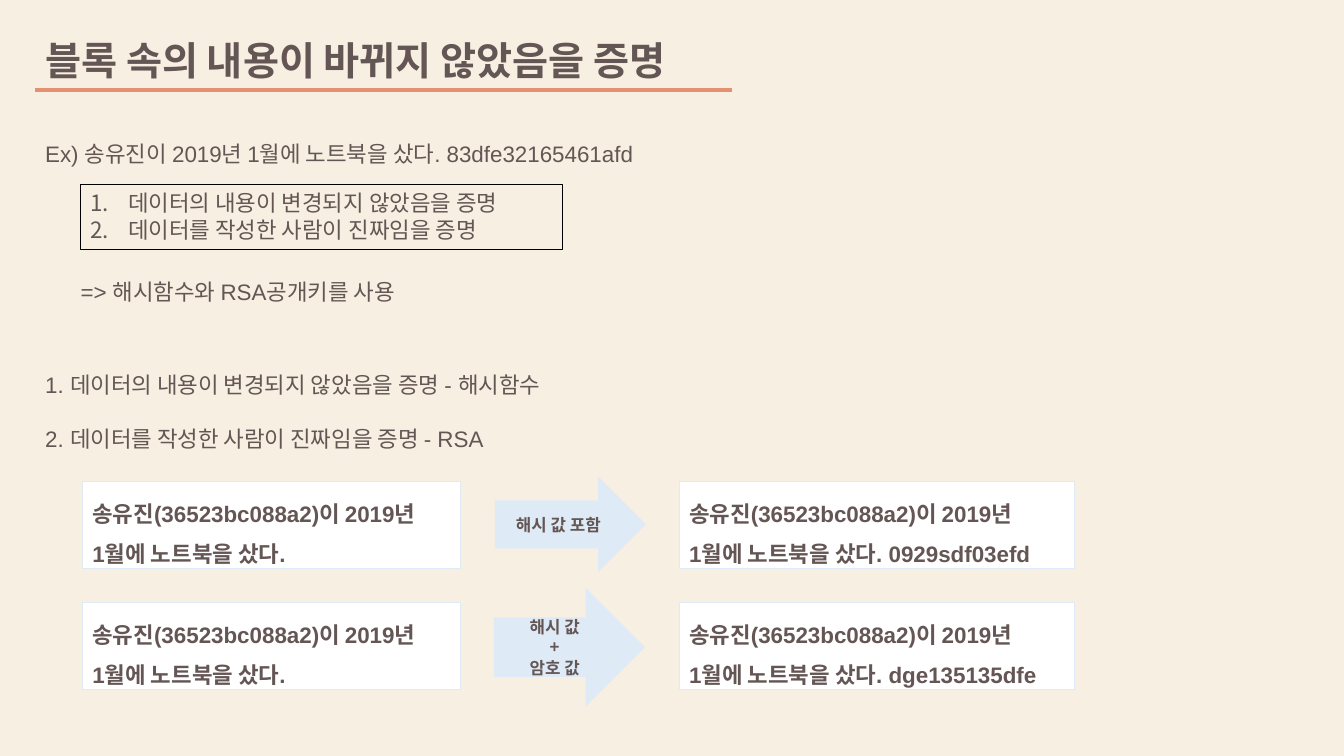
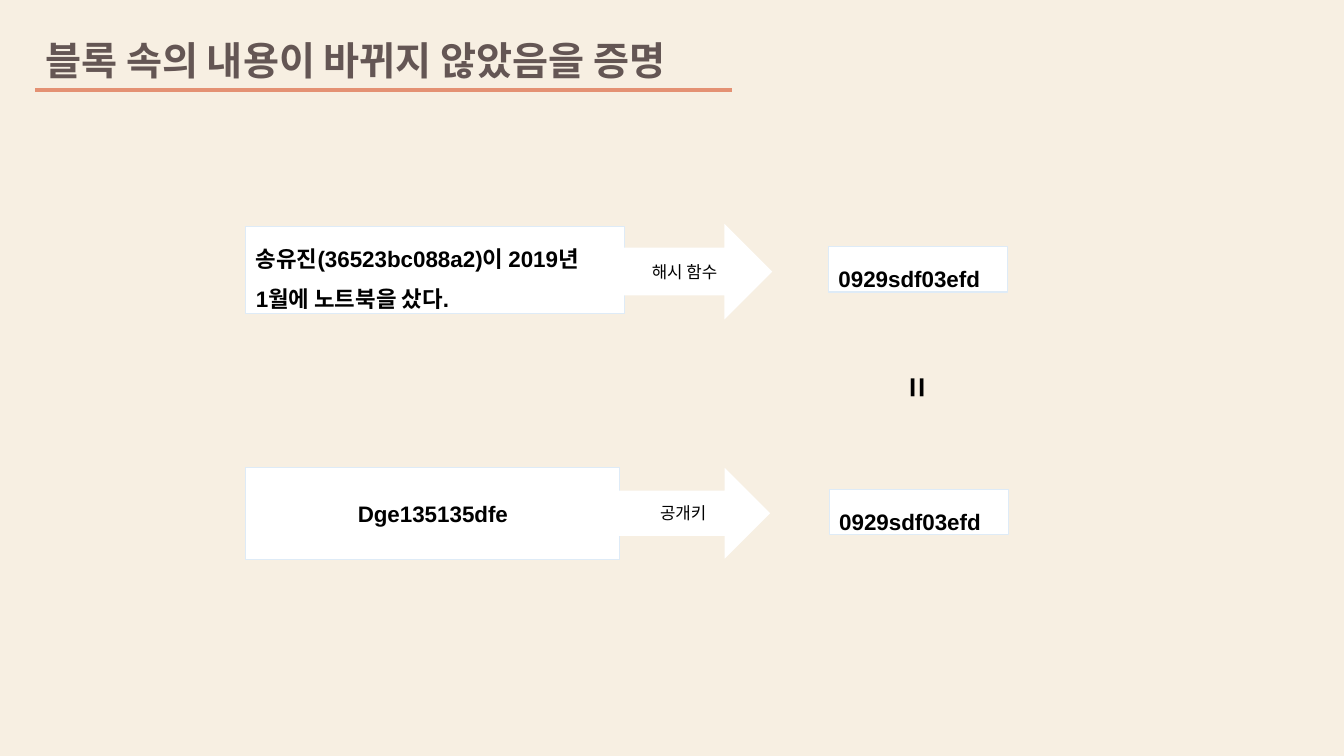
from lxml.etree import SubElement
from pptx import Presentation
from pptx.dml.color import RGBColor
from pptx.enum.shapes import MSO_CONNECTOR, MSO_SHAPE
from pptx.enum.text import MSO_ANCHOR, PP_ALIGN
from pptx.oxml.ns import qn
from pptx.util import Cm, Pt

HUES = {"paper": "F7EFE2", "text": "645654", "rule": "E49173",
        "pale": "DEEBF7", "white": "FFFFFF", "black": "000000"}
SANS, KOREAN = "Arial", "Noto Sans CJK KR"
RECT, ARROW = MSO_SHAPE.RECTANGLE, MSO_SHAPE.RIGHT_ARROW


def write(shape, text, hue="text", size=16, bold=False, font=SANS,
          space=None, center=False):
    """Put styled text in a shape, centred both ways on request."""
    frame = shape.text_frame
    frame.word_wrap = True
    frame.vertical_anchor = MSO_ANCHOR.MIDDLE if center else MSO_ANCHOR.TOP
    frame.text = text
    for para in frame.paragraphs:
        para.alignment = PP_ALIGN.CENTER if center else PP_ALIGN.LEFT
        if space:
            para.line_spacing = space
        for run in para.runs:
            run.font.size = Pt(size)
            run.font.bold = bold
            run.font.name = font
            run.font.color.rgb = RGBColor.from_string(HUES[hue])


def draw(slide, kind, spot, fill=None, line=None):
    """Add a flat preset shape at spot, given in centimetres."""
    shape = slide.shapes.add_shape(kind, *map(Cm, spot))
    shape.shadow.inherit = False
    if fill:
        shape.fill.solid()
        shape.fill.fore_color.rgb = RGBColor.from_string(HUES[fill])
    else:
        shape.fill.background()
    if line:
        shape.line.color.rgb = RGBColor.from_string(HUES[line])
        shape.line.width = Pt(0.75)
    else:
        shape.line.fill.background()
    return shape


deck = Presentation()
deck.slide_width, deck.slide_height = Cm(33.87), Cm(19.05)
back = deck.slide_master.background.fill
back.solid()
back.fore_color.rgb = RGBColor.from_string(HUES["paper"])

# Title and rule on both slides
for _ in range(2):
    slide = deck.slides.add_slide(deck.slide_layouts[6])
    rule = slide.shapes.add_connector(
        MSO_CONNECTOR.STRAIGHT, Cm(0.89), Cm(2.26), Cm(18.44), Cm(2.26))
    rule.line.color.rgb = RGBColor.from_string(HUES["rule"])
    rule.line.width = Pt(3)
    SubElement(rule.element.spPr, qn("a:effectLst"))
    title = slide.shapes.add_textbox(Cm(0.89), Cm(0.79), Cm(21.49), Cm(1.45))
    write(title, "블록 속의 내용이 바뀌지 않았음을 증명", size=28, bold=True)
proof, check = deck.slides

# Slide 1: example, goals and means
goals = ["데이터의 내용이 변경되지 않았음을 증명",
         "데이터를 작성한 사람이 진짜임을 증명"]
notes = [
    ((0.89, 3.07, 25.76, 1.14), 1.5,
     "Ex) 송유진이 2019년 1월에 노트북을 샀다. 83dfe32165461afd"),
    ((1.78, 5.87, 29.57, 1.65), 2.5, "=> 해시함수와 RSA공개키를 사용"),
    ((0.89, 8.89, 15.39, 1.14), 1.5, f"1. {goals[0]} - 해시함수"),
    ((0.89, 9.58, 13.11, 1.65), 2.5, f"2. {goals[1]} - RSA"),
]
for spot, space, text in notes:
    write(proof.shapes.add_textbox(*map(Cm, spot)), text, space=space)

aims = draw(proof, RECT, (2.03, 4.65, 12.14, 1.63), line="black")
write(aims, "\n".join(goals))
for para in aims.text_frame.paragraphs:
    props = para._p.get_or_add_pPr()
    props.set("marL", str(Cm(0.95)))
    props.set("indent", str(-Cm(0.95)))
    SubElement(props, qn("a:buAutoNum")).set("type", "arabicPeriod")

# Slide 1: record before and after each step
record = "송유진(36523bc088a2)이 2019년\v1월에 노트북을 샀다."
steps = [
    (12.14, (12.47, 12.01, 3.81, 2.41), "해시 값 포함", "0929sdf03efd"),
    (15.19, (12.45, 14.81, 3.81, 3), "해시 값\v+\v암호 값", "dge135135dfe"),
]
for top, spot, label, code in steps:
    for left, width, text in [(2.08, 9.53, record),
                              (17.12, 9.96, f"{record} {code}")]:
        box = draw(proof, RECT, (left, top, width, 2.18), "white", "pale")
        write(box, text, bold=True, space=1.5)
    arrow = draw(proof, ARROW, spot, "pale")
    write(arrow, label, size=12, bold=True, font=KOREAN, center=True)

# Slide 2: both ways lead to the same hash
boxes = [
    ((6.2, 5.72, 9.53, 2.18), record, 1.5, False),
    ((20.88, 6.22, 4.52, 1.14), "0929sdf03efd", 1.5, False),
    ((6.2, 11.79, 9.42, 2.31), "Dge135135dfe", None, True),
    ((20.9, 12.34, 4.52, 1.14), "0929sdf03efd", 1.5, False),
]
for spot, text, space, center in boxes:
    box = draw(check, RECT, spot, "white", "pale")
    write(box, text, "black", bold=True, space=space, center=center)

for spot, label in [((15.65, 5.64, 3.81, 2.41), "해시 함수"),
                    ((15.6, 11.79, 3.81, 2.29), "공개키")]:
    arrow = draw(check, ARROW, spot, "white")
    write(arrow, label, "black", 12, font=KOREAN, center=True)

equal = check.shapes.add_textbox(Cm(21.89), Cm(9.86), Cm(2.51), Cm(1.32))
equal.rotation = 90
write(equal, "=", "black", 25, True, KOREAN)

deck.save("out.pptx")
